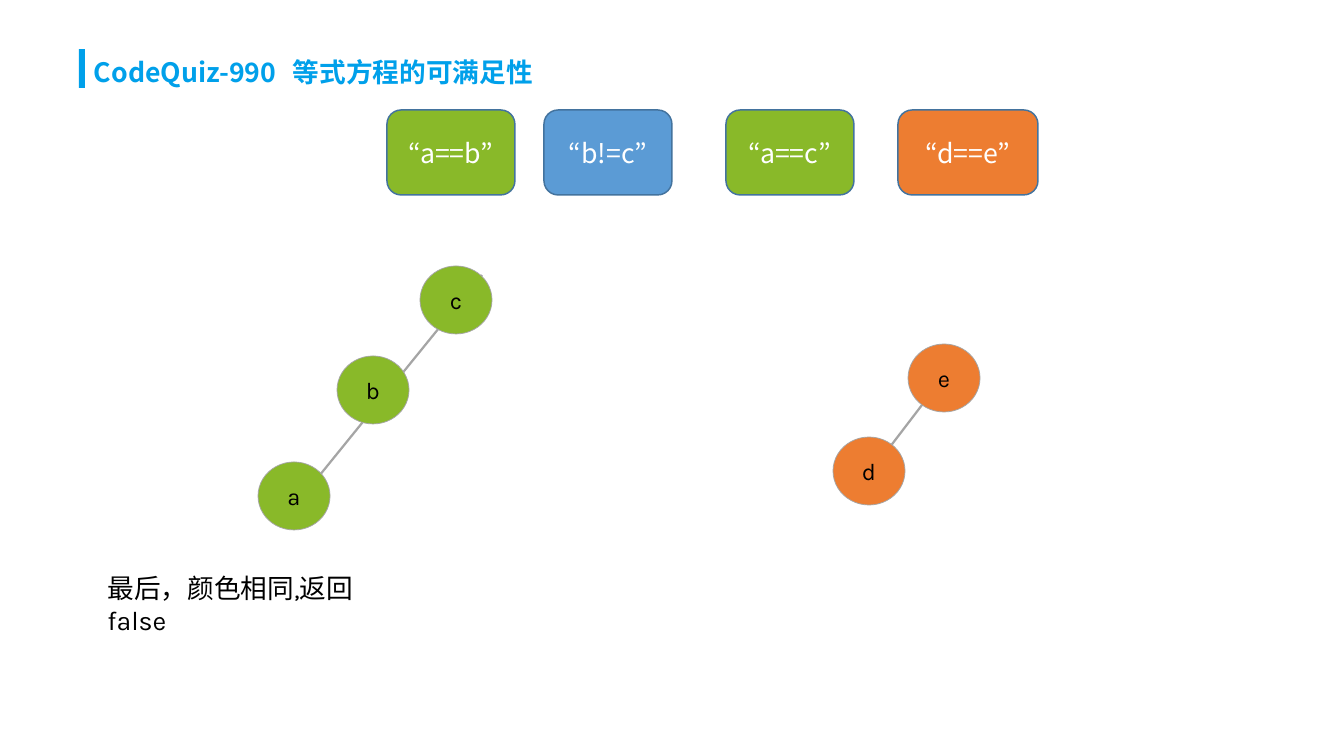
"""Build the slide on equality equations solved with coloured trees."""
import dataclasses

import lxml.etree
import pptx
import pptx.dml.color
import pptx.enum.shapes
import pptx.enum.text
import pptx.oxml.ns
import pptx.util

SHAPE = pptx.enum.shapes.MSO_SHAPE
ALIGN = pptx.enum.text.PP_ALIGN
ANCHOR = pptx.enum.text.MSO_ANCHOR


@dataclasses.dataclass(frozen=True)
class Theme:
    accent: str = "00A0EA"
    green: str = "89B929"
    blue: str = "5B9BD5"
    orange: str = "ED7D31"
    border: str = "43739E"
    edge: str = "A5A5A5"
    dark: str = "000000"
    light: str = "FFFFFF"
    cjk: str = "Noto Sans CJK JP"
    latin: str = "Karla"
    text_size: int = 18
    node_size: int = 16


T = Theme()
SLIDE = (1344, 756)
TITLE = "CodeQuiz-990\t等式方程的可满足性"
TITLE_BOX = (89, 51, 660, 43)
TITLE_INSET = 5
TITLE_TAB = 199
TITLE_BAR = (79, 49, 6, 39)
CONCLUSION = "最后，颜色相同,返回false"
CONCLUSION_BOX = (97, 567, 321, 43)
EQUATION_TOP, EQUATION_HEIGHT = 110, 85
EQUATIONS = [
    ("“a==b”", 387, 128, T.green),
    ("“b!=c”", 544, 128, T.blue),
    ("“a==c”", 726, 128, T.green),
    ("“d==e”", 898, 140, T.orange),
]
NODE_WIDTH, NODE_HEIGHT = 72, 68
NODES = [
    ("c", 456, 300, T.green),
    ("b", 373, 390, T.green),
    ("a", 294, 496, T.green),
    ("e", 944, 378, T.orange),
    ("d", 869, 471, T.orange),
]
EDGES = [(294, 507, 482, 275), (867, 477, 935, 388)]


def px(*lengths):
    return [pptx.util.Emu(round(n * 8572.5)) for n in lengths]


def rgb(value):
    return pptx.dml.color.RGBColor.from_string(value)


def write(tf, text, font, size, color, align=ALIGN.LEFT, bold=False):
    tf.text = text
    p = tf.paragraphs[0]
    p.alignment = align
    for r in p.runs:
        r.font.name = font
        r.font.size = pptx.util.Pt(size)
        r.font.bold = bold
        r.font.color.rgb = rgb(color)
        ea = lxml.etree.SubElement(r.font._element, pptx.oxml.ns.qn("a:ea"))
        ea.set("typeface", T.cjk)


def add_block(slide, kind, box, fill, line=None, width=1):
    sp = slide.shapes.add_shape(kind, *px(*box))
    sp.shadow.inherit = False
    sp.fill.solid()
    sp.fill.fore_color.rgb = rgb(fill)
    if line:
        sp.line.color.rgb = rgb(line)
        sp.line.width = pptx.util.Pt(width)
    else:
        sp.line.fill.background()
    sp.text_frame.vertical_anchor = ANCHOR.MIDDLE
    return sp


def add_edge(slide, ends):
    line = slide.shapes.add_connector(
        pptx.enum.shapes.MSO_CONNECTOR.STRAIGHT, *px(*ends))
    line.line.color.rgb = rgb(T.edge)
    line.line.width = pptx.util.Pt(1.5)
    lxml.etree.SubElement(line._element.spPr, pptx.oxml.ns.qn("a:effectLst"))


def add_title(slide):
    sp = slide.shapes.title
    sp.left, sp.top, sp.width, sp.height = px(*TITLE_BOX)
    tf = sp.text_frame
    inset = px(TITLE_INSET)[0]
    tf.margin_left = tf.margin_right = tf.margin_top = tf.margin_bottom = inset
    tf.vertical_anchor = ANCHOR.TOP
    tf.auto_size = pptx.enum.text.MSO_AUTO_SIZE.NONE
    write(tf, TITLE, T.cjk, T.text_size, T.accent, bold=True)
    pPr = tf.paragraphs[0]._p.get_or_add_pPr()
    tabs = lxml.etree.SubElement(pPr, pptx.oxml.ns.qn("a:tabLst"))
    tab = lxml.etree.SubElement(tabs, pptx.oxml.ns.qn("a:tab"))
    tab.set("pos", str(px(TITLE_TAB)[0]))
    tab.set("algn", "l")


def main():
    prs = pptx.Presentation()
    prs.slide_width, prs.slide_height = px(*SLIDE)
    slide = prs.slides.add_slide(prs.slide_layouts[5])
    add_title(slide)
    add_block(slide, SHAPE.RECTANGLE, TITLE_BAR, T.accent)

    tf = slide.shapes.add_textbox(*px(*CONCLUSION_BOX)).text_frame
    tf.word_wrap = True
    write(tf, CONCLUSION, T.latin, T.text_size, T.dark)

    for text, left, width, fill in EQUATIONS:
        box = (left, EQUATION_TOP, width, EQUATION_HEIGHT)
        sp = add_block(slide, SHAPE.ROUNDED_RECTANGLE, box, fill, T.border)
        write(sp.text_frame, text, T.cjk, T.text_size, T.light, ALIGN.CENTER)

    for ends in EDGES:
        add_edge(slide, ends)
    for text, x, y, fill in NODES:
        box = (x - NODE_WIDTH / 2, y - NODE_HEIGHT / 2, NODE_WIDTH, NODE_HEIGHT)
        sp = add_block(slide, SHAPE.OVAL, box, fill, T.edge, 0.5)
        write(sp.text_frame, text, T.latin, T.node_size, T.dark, ALIGN.CENTER)

    prs.save("out.pptx")


if __name__ == "__main__":
    main()
